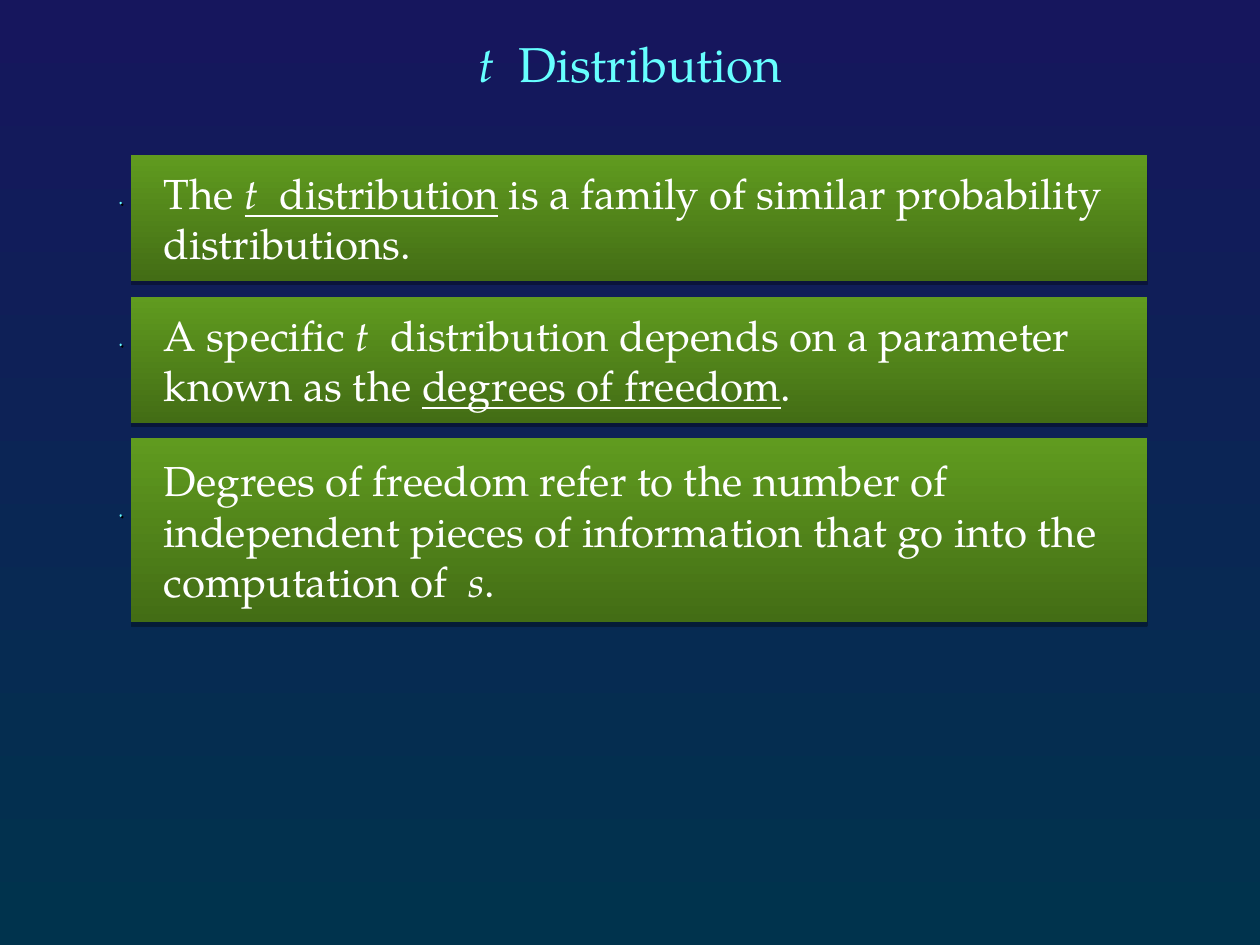
import lxml.etree
import pptx
import pptx.dml.color
import pptx.enum.shapes
import pptx.enum.text
import pptx.oxml.ns
import pptx.util

COLUMNS, ROWS = 40, 30
FONT = "TeX Gyre Pagella"
WHITE, CYAN = "FFFFFF", "66FFFF"

TITLE = [("t ", "i"), (" Distribution", "")]
STATEMENTS = [
    [
        [("The ", ""), ("t ", "iu"), (" distribution", "u"),
         (" is a family of similar probability", "")],
        [("distributions.", "")],
    ],
    [
        [("A specific ", ""), ("t ", "i"),
         (" distribution depends on a parameter", "")],
        [("known as the ", ""), ("degrees of freedom", "u"), (".", "")],
    ],
    [
        [("Degrees of freedom refer to the number of", "")],
        [("independent pieces of information that go into the", "")],
        [("computation of ", ""), (" s", "i"), (".", "")],
    ],
]
PANEL_ROWS = [4, 4, 5.84]


def colour(value):
    """Turn a hex string into a colour."""
    return pptx.dml.color.RGBColor.from_string(value)


def grid(deck, left, top, width, height):
    """Turn columns and rows of the grid into slide lengths."""
    column, row = deck.slide_width / COLUMNS, deck.slide_height / ROWS
    return [pptx.util.Emu(round(length)) for length in
            (left * column, top * row, width * column, height * row)]


def fill_gradient(fill, top, bottom):
    """Fill from one colour at the top to another at the bottom."""
    fill.gradient()
    fill.gradient_angle = 270
    for stop, value in zip(fill.gradient_stops, (top, bottom)):
        stop.color.rgb = colour(value)


def cast_shadow(shape, distance, degrees, opacity):
    """Give a shape a sharp black shadow."""
    shape.shadow.inherit = False
    effects = shape._element.spPr.find(pptx.oxml.ns.qn("a:effectLst"))
    shadow = lxml.etree.SubElement(
        effects, pptx.oxml.ns.qn("a:outerShdw"), blurRad="0",
        dist=str(pptx.util.Pt(distance)), dir=str(degrees * 60000),
        algn="ctr", rotWithShape="0")
    black = lxml.etree.SubElement(shadow, pptx.oxml.ns.qn("a:srgbClr"), val="000000")
    lxml.etree.SubElement(black, pptx.oxml.ns.qn("a:alpha"), val=str(opacity * 1000))


def write_line(para, spans, size, value, alignment):
    """Write spans, italic where marked i and underlined where marked u."""
    para.alignment = alignment
    para.font.name = FONT
    para.font.size = pptx.util.Pt(size)
    para.font.color.rgb = colour(value)
    for text, marks in spans:
        span = para.add_run()
        span.text = text
        if "i" in marks:
            span.font.italic = True
        if "u" in marks:
            span.font.underline = True


def add_title(deck, page, box):
    """Place the slide title in its placeholder."""
    title = page.shapes.title
    title.left, title.top, title.width, title.height = grid(deck, *box)
    frame = title.text_frame
    frame.vertical_anchor = pptx.enum.text.MSO_ANCHOR.MIDDLE
    write_line(frame.paragraphs[0], TITLE, 28, CYAN, pptx.enum.text.PP_ALIGN.CENTER)


def add_panel(deck, page, box, lines):
    """Place one green statement panel."""
    panel = page.shapes.add_shape(
        pptx.enum.shapes.MSO_SHAPE.RECTANGLE, *grid(deck, *box))
    fill_gradient(panel.fill, "609B1F", "436D15")
    panel.line.fill.background()
    cast_shadow(panel, 2.2, 90, 32)
    frame = panel.text_frame
    frame.word_wrap = False
    frame.vertical_anchor = pptx.enum.text.MSO_ANCHOR.MIDDLE
    frame.margin_left = pptx.util.Inches(0.26)
    for index, spans in enumerate(lines):
        para = frame.add_paragraph() if index else frame.paragraphs[0]
        write_line(para, spans, 24, WHITE, pptx.enum.text.PP_ALIGN.LEFT)


def add_marker(deck, page, box):
    """Place a turned frame holding a tiny triangle in its first corner."""
    left, top, width, height = grid(deck, *box)
    side = width // 50
    builder = page.shapes.build_freeform(left, top)
    builder.add_line_segments(
        [(left + side, top + side // 2), (left, top + side)], close=True)
    marker = builder.convert_to_shape()
    outline = marker._element.spPr.find(".//" + pptx.oxml.ns.qn("a:path"))
    outline.set("w", str(width))
    outline.set("h", str(height))
    marker.width, marker.height, marker.rotation = width, height, 90
    marker.fill.solid()
    marker.fill.fore_color.rgb = colour(CYAN)
    marker.line.color.rgb = colour(CYAN)
    marker.line.width = pptx.util.Pt(1)
    cast_shadow(marker, 1.4, 45, 100)


def add_statements(deck, page, left, top, width, gap):
    """Stack the panels, each with its marker near mid-height."""
    for lines, height in zip(STATEMENTS, PANEL_ROWS):
        add_panel(deck, page, (left, top, width, height), lines)
        add_marker(deck, page, (2.96, top + height / 2 - 0.28, 1.08, 0.68))
        top += height + gap


def main():
    """Build the slide and save it."""
    deck = pptx.Presentation()
    deck.slide_width, deck.slide_height = pptx.util.Inches(10), pptx.util.Inches(7.5)
    page = deck.slides.add_slide(deck.slide_layouts.get_by_name("Title Only"))
    fill_gradient(page.background.fill, "16165D", "00334D")
    add_title(deck, page, (3, 0.68, 34, 2.64))
    add_statements(deck, page, 4.16, 4.92, 32.26, 0.5)
    deck.save("out.pptx")


if __name__ == "__main__":
    main()
